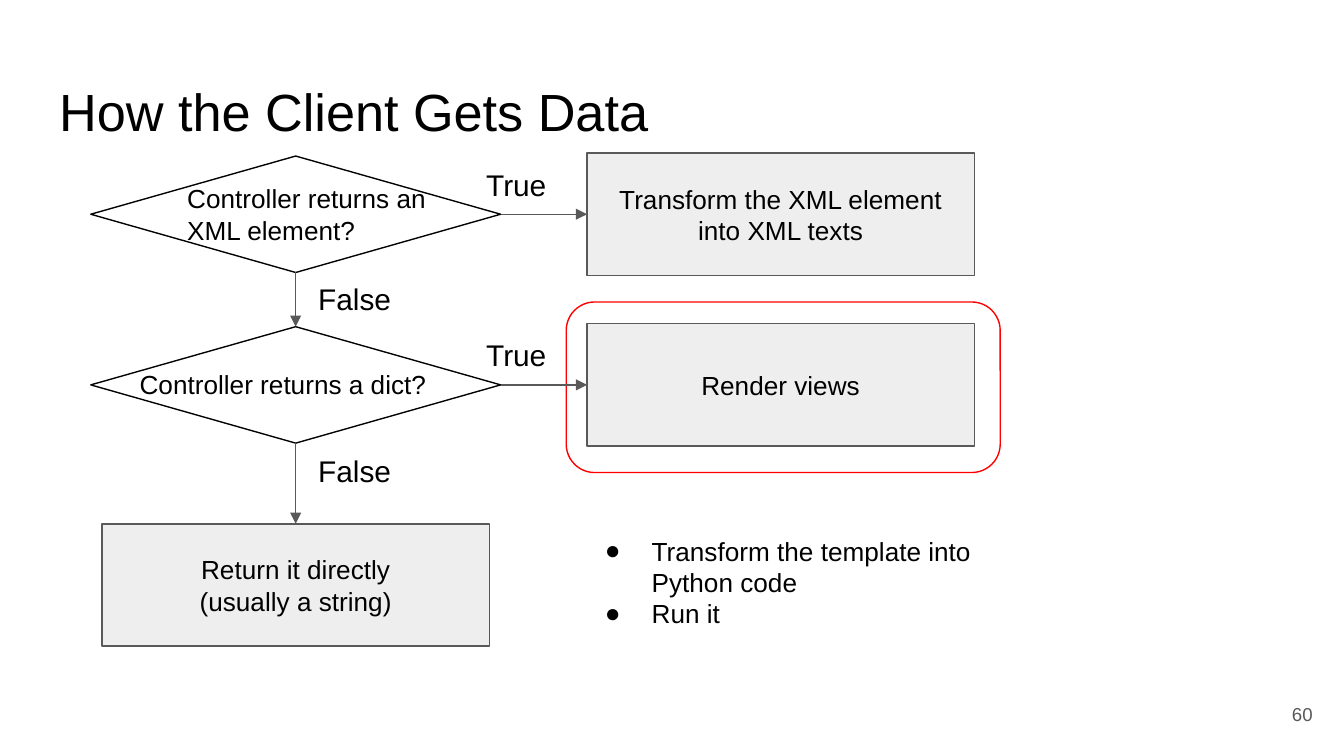
"""Build a flowchart slide on how a client gets its data."""
import pptx
import pptx.util
import pptx.dml.color
import pptx.enum.shapes
import pptx.enum.text
import pptx.oxml.ns
import lxml.etree

Pt = pptx.util.Pt
Align = pptx.enum.text.PP_ALIGN
Anchor = pptx.enum.text.MSO_ANCHOR
Shape = pptx.enum.shapes.MSO_SHAPE
qn = pptx.oxml.ns.qn


def color(value):
    """Turn a hex string into a colour."""
    return pptx.dml.color.RGBColor.from_string(value)


def write(box, text, size, align=Align.LEFT, anchor=Anchor.TOP, ink="000000"):
    """Put formatted text into a box."""
    frame = box.text_frame
    frame.word_wrap = True
    frame.auto_size = pptx.enum.text.MSO_AUTO_SIZE.NONE
    frame.vertical_anchor = anchor
    frame.margin_left = frame.margin_right = Pt(7.2)
    frame.margin_top = frame.margin_bottom = Pt(7.2)
    frame.text = text
    for para in frame.paragraphs:
        para.alignment = align
        para.space_before = Pt(0)
        for span in para.runs:
            span.font.size = Pt(size)
            span.font.name = "Arial"
            span.font.color.rgb = color(ink)


deck = pptx.Presentation()
deck.slide_width = Pt(720)
deck.slide_height = Pt(405)
page = deck.slides.add_slide(deck.slide_layouts[5])
shapes = page.shapes

title = shapes.title
title.left, title.top, title.width, title.height = Pt(24.5), Pt(35), Pt(671), Pt(45)
write(title, "How the Client Gets Data", 28)

center_x = 158.4
row_centers = [114.8, 206.2]
step_width, step_height = 207.4, 65.5
choice_width, choice_height = 219.6, 62.4

nodes = {}
for name, kind, middle_x, middle_y, width, height, fill, line in [
    ("is dict", Shape.DIAMOND, center_x, row_centers[1], choice_width, choice_height, "FFFFFF", "000000"),
    ("is xml", Shape.DIAMOND, center_x, row_centers[0], choice_width, choice_height, "FFFFFF", "000000"),
    ("transform", Shape.RECTANGLE, 418.2, row_centers[0], step_width, step_height, "EEEEEE", "595959"),
    ("render", Shape.RECTANGLE, 418.2, row_centers[1], step_width, step_height, "EEEEEE", "595959"),
    ("return", Shape.RECTANGLE, center_x, 313.4, step_width, step_height, "EEEEEE", "595959"),
    ("highlight", Shape.ROUNDED_RECTANGLE, 419.6, 207.5, 232.5, 91.4, None, "FF0000"),
]:
    node = shapes.add_shape(kind, Pt(middle_x - width / 2), Pt(middle_y - height / 2), Pt(width), Pt(height))
    node.shadow.inherit = False
    if fill:
        node.fill.solid()
        node.fill.fore_color.rgb = color(fill)
    else:
        node.fill.background()
    node.line.color.rgb = color(line)
    node.line.width = Pt(0.75)
    nodes[name] = node

for name, text in [
    ("transform", "Transform the XML element into XML texts"),
    ("render", "Render views"),
    ("return", "Return it directly\v(usually a string)"),
]:
    write(nodes[name], text, 14, Align.CENTER, Anchor.MIDDLE)

for start, start_site, end, end_site in [
    ("is xml", 2, "is dict", 0),
    ("is dict", 2, "return", 0),
    ("is dict", 3, "render", 1),
    ("is xml", 3, "transform", 1),
]:
    arrow = shapes.add_connector(pptx.enum.shapes.MSO_CONNECTOR.STRAIGHT, 0, 0, 0, 0)
    arrow.begin_connect(nodes[start], start_site)
    arrow.end_connect(nodes[end], end_site)
    arrow.line.color.rgb = color("595959")
    arrow.line.width = Pt(0.75)
    lxml.etree.SubElement(arrow.line._get_or_add_ln(), qn("a:tailEnd"), type="triangle")
    lxml.etree.SubElement(arrow._element.spPr, qn("a:effectLst"))

for text, left, top, width, height, size in [
    ("Controller returns a dict?", 67.7, 190, 226.8, 31, 14),
    ("Controller returns an XML element?", 93.2, 90.7, 147.6, 31, 14),
    ("True", 253.4, 82, 54, 35, 16),
    ("True", 253.4, 173.4, 54, 35, 16),
    ("False", 163.4, 142.9, 54, 35, 16),
    ("False", 163.4, 235.4, 54, 35, 16),
]:
    label = shapes.add_textbox(Pt(left), Pt(top), Pt(width), Pt(height))
    write(label, text, size)

notes = shapes.add_textbox(Pt(306), Pt(279.5), Pt(226.8), Pt(67.7))
write(notes, "Transform the template into Python code\nRun it", 14)
for para in notes.text_frame.paragraphs:
    properties = para._p.get_or_add_pPr()
    properties.set("marL", str(Pt(36)))
    properties.set("indent", str(Pt(-25)))
    bullet_color = lxml.etree.SubElement(properties, qn("a:buClr"))
    lxml.etree.SubElement(bullet_color, qn("a:srgbClr"), val="000000")
    lxml.etree.SubElement(properties, qn("a:buFont"), typeface="Arial")
    lxml.etree.SubElement(properties, qn("a:buChar"), char="●")

number = shapes.add_textbox(Pt(667.1), Pt(367.2), Pt(43.2), Pt(31))
write(number, "60", 10, Align.RIGHT, Anchor.MIDDLE, "595959")

deck.save("out.pptx")
